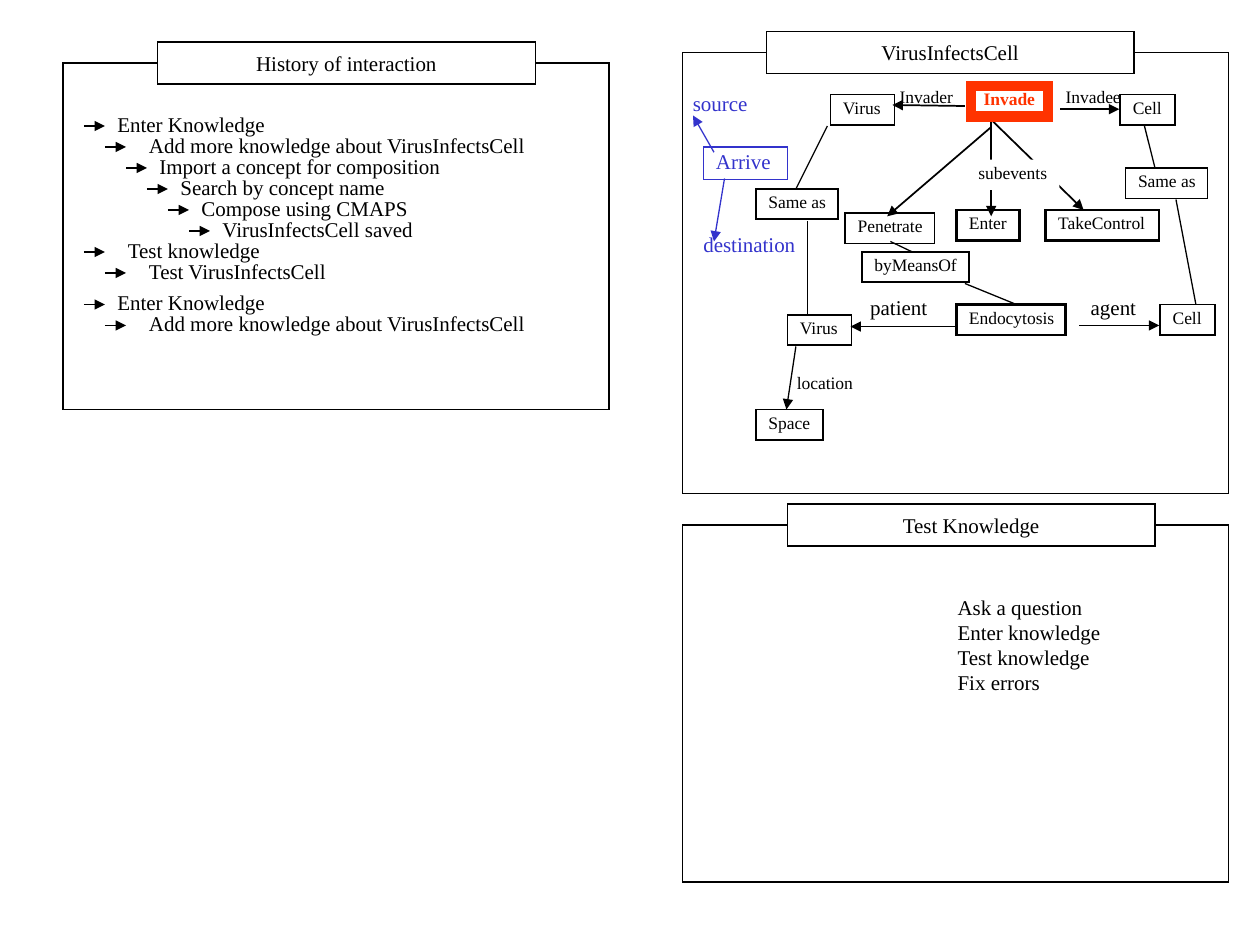
from lxml import etree
from pptx import Presentation
from pptx.dml.color import RGBColor
from pptx.enum.shapes import MSO_CONNECTOR, MSO_SHAPE
from pptx.enum.text import MSO_ANCHOR, PP_ALIGN
from pptx.oxml.ns import qn
from pptx.util import Inches, Pt

STRAIGHT, RECTANGLE = MSO_CONNECTOR.STRAIGHT, MSO_SHAPE.RECTANGLE
TOP, MIDDLE = MSO_ANCHOR.TOP, MSO_ANCHOR.MIDDLE
LEFT, CENTER = PP_ALIGN.LEFT, PP_ALIGN.CENTER
BLACK = RGBColor(0x00, 0x00, 0x00)
WHITE = RGBColor(0xFF, 0xFF, 0xFF)
RED = RGBColor(0xFF, 0x33, 0x00)
BLUE = RGBColor(0x33, 0x33, 0xCC)
FONT = "Times New Roman"
COLUMNS, ROWS = 120, 90
CELL = Inches(10) / COLUMNS
INSET = 1.2
LABEL_HEIGHT = 3.6
NODE_HEIGHT = 2.9

HISTORY = [
    ("Enter Knowledge", 0, 0, 2),
    ("Add more knowledge about VirusInfectsCell", 1, 2, 3),
    ("Import a concept for composition", 2, 4, 2),
    ("Search by concept name", 3, 6, 2),
    ("Compose using CMAPS", 4, 8, 2),
    ("VirusInfectsCell saved", 5, 10, 2),
    ("Test knowledge", 0, 12, 3),
    ("Test VirusInfectsCell", 1, 14, 3),
    ("Enter Knowledge", 0, 17, 2),
    ("Add more knowledge about VirusInfectsCell", 1, 19, 3),
]
QUESTIONS = ["Ask a question", "Enter knowledge", "Test knowledge", "Fix errors"]
CONCEPTS = [
    ("Penetrate", 15.5, 15.3, 8.5, 1),
    ("TakeControl", 34.6, 15, 10.8, 1.5),
    ("Cell", 41.7, 4, 5.2, 1),
    ("Virus", 14.1, 4, 6.1, 1),
    ("Endocytosis", 26.1, 24, 10.4, 1.5),
    ("Enter", 26.1, 15, 6, 1.5),
    ("Virus", 10, 25, 6.1, 1),
    ("Cell", 45.5, 24, 5.2, 1),
    ("byMeansOf", 17.1, 19, 10.2, 1),
    ("Same as", 7, 13, 7.8, 1),
    ("Same as", 42.2, 11, 7.8, 1),
    ("Space", 7, 34, 6.4, 1),
]
ROLES = [
    ("Invadee", 35.3, 3, 7.8, dict(size=10, spacing=0.8)),
    ("Invader", 19.5, 3, 7.8, dict(size=10, spacing=0.8)),
    ("patient", 16.7, 22.5, 8, {}),
    ("agent", 37.7, 22.5, 7, {}),
    ("location", 9.7, 29.8, 8.1, dict(size=10)),
    ("source", -0.2, 3, 7.8, dict(color=BLUE)),
    ("destination", 0.8, 16.5, 11.4, dict(color=BLUE)),
]
RELATIONS = [
    (29.4, 7.1, 19.5, 15.6),
    (29.4, 6.4, 29.4, 15.6),
    (29.4, 6.4, 38.2, 15),
    (36, 5.4, 41.6, 5.4),
    (26.9, 5.1, 20, 5),
    (26, 26.1, 16, 26.1),
    (37.8, 26, 45.4, 26),
]
LINKS = [
    (19.8, 18, 21.9, 19),
    (26.9, 22, 31.8, 24),
    (11.9, 25, 11.9, 16),
    (10.8, 13, 13.8, 7),
    (48.9, 24, 47, 14),
    (45, 11, 44, 7),
]
ARRIVE_ROLES = [(3, 9.5, 1, 6), (4, 12, 3, 18)]


def grid(*cells):
    """Turn grid cells into slide lengths."""
    return [round(cell * CELL) for cell in cells]


def within(box, column, row, width, height):
    """Place a part relative to the corner of a box."""
    return box[0] + column, box[1] + row, width, height


def write(shape, text, size=12, color=BLACK, bold=False, align=LEFT,
          anchor=TOP, spacing=1.0, indent=0):
    """Write text, one paragraph a line, in the given format."""
    frame = shape.text_frame
    frame.word_wrap = False
    frame.vertical_anchor = anchor
    frame.margin_left, frame.margin_right = grid(INSET + indent, INSET)
    frame.text = text
    for paragraph in frame.paragraphs:
        paragraph.alignment = align
        paragraph.line_spacing = spacing
        font = paragraph.font
        font.name, font.size, font.bold = FONT, Pt(size), bold
        font.color.rgb = color


def label(slide, box, text, **style):
    """Add plain text in a box."""
    write(slide.shapes.add_textbox(*grid(*box)), text, **style)


def frame_box(slide, box, text="", fill=None, line=BLACK, weight=0.75, **style):
    """Add a rectangle with optional fill, outline and text."""
    shape = slide.shapes.add_shape(RECTANGLE, *grid(*box))
    shape.shadow.inherit = False
    if fill is None:
        shape.fill.background()
    else:
        shape.fill.solid()
        shape.fill.fore_color.rgb = fill
    if line is None:
        shape.line.fill.background()
    else:
        shape.line.color.rgb = line
        shape.line.width = Pt(weight)
        outline = shape._element.spPr.find(qn("a:ln"))
        etree.SubElement(outline, qn("a:miter"), lim="800000")
    if text:
        write(shape, text, **style)


def connect(slide, box, ends, color=BLACK, weight=0.75, arrow=True):
    """Join two points of a box, with an arrowhead at the second."""
    x1, y1, x2, y2 = ends
    left, top = box[:2]
    points = grid(left + x1, top + y1, left + x2, top + y2)
    connector = slide.shapes.add_connector(STRAIGHT, *points)
    connector.line.color.rgb = color
    connector.line.width = Pt(weight)
    properties = connector._element.spPr
    if arrow:
        etree.SubElement(properties.find(qn("a:ln")), qn("a:tailEnd"), type="triangle")
    etree.SubElement(properties, qn("a:effectLst"))


def panel(slide, box, heading, column, width):
    """Draw a panel with its heading across the top edge."""
    frame_box(slide, box, fill=WHITE)
    frame_box(slide, within(box, column, -2, width, 4), heading, fill=WHITE,
              align=CENTER, anchor=MIDDLE)


def history_panel(slide, box):
    """Draw the indented history of interaction."""
    panel(slide, box, "History of interaction", 9, 36)
    for step, level, row, gap in HISTORY:
        start = 2 + 2 * level
        connect(slide, box, (start, 6 + row, start + 2, 6 + row))
        width = box[2] - start - gap
        label(slide, within(box, start + gap, 4 + row, width, LABEL_HEIGHT), step)


def concept_panel(slide, box):
    """Draw the concept map of a virus infecting a cell."""
    panel(slide, box, "VirusInfectsCell", 8, 35)
    for ends in RELATIONS:
        connect(slide, box, ends, weight=1)
    for ends in LINKS:
        connect(slide, box, ends, arrow=False)
    connect(slide, box, (10.8, 28, 9.9, 34))
    for ends in ARRIVE_ROLES:
        connect(slide, box, ends, color=BLUE)
    frame_box(slide, within(box, 27, 10.2, 8.9, NODE_HEIGHT), "subevents",
              fill=WHITE, line=None, size=10, spacing=0.8)
    for role, column, row, width, style in ROLES:
        label(slide, within(box, column, row, width, LABEL_HEIGHT), role, **style)
    for concept, column, row, width, weight in CONCEPTS:
        frame_box(slide, within(box, column, row, width, NODE_HEIGHT), concept,
                  weight=weight, size=10, spacing=0.8)
    frame_box(slide, within(box, 27.5, 3.2, 7.3, NODE_HEIGHT), "Invade",
              line=RED, weight=6, size=10, color=RED, bold=True, spacing=0.8)
    frame_box(slide, within(box, 2, 9, 8, 3.1), "Arrive",
              line=BLUE, weight=1, color=BLUE, spacing=0.8)


def test_panel(slide, box):
    """Draw the panel that lists the test steps."""
    panel(slide, box, "Test Knowledge", 10, 35)
    label(slide, within(box, 1, 6, 40, 10.8), "\n".join(QUESTIONS), indent=24)


def main():
    """Build and save the slide."""
    deck = Presentation()
    deck.slide_width, deck.slide_height = grid(COLUMNS, ROWS)
    slide = deck.slides.add_slide(deck.slide_layouts[6])
    concept_panel(slide, (65, 5, 52, 42))
    test_panel(slide, (65, 50, 52, 34))
    history_panel(slide, (6, 6, 52, 33))
    deck.save("out.pptx")


if __name__ == "__main__":
    main()
